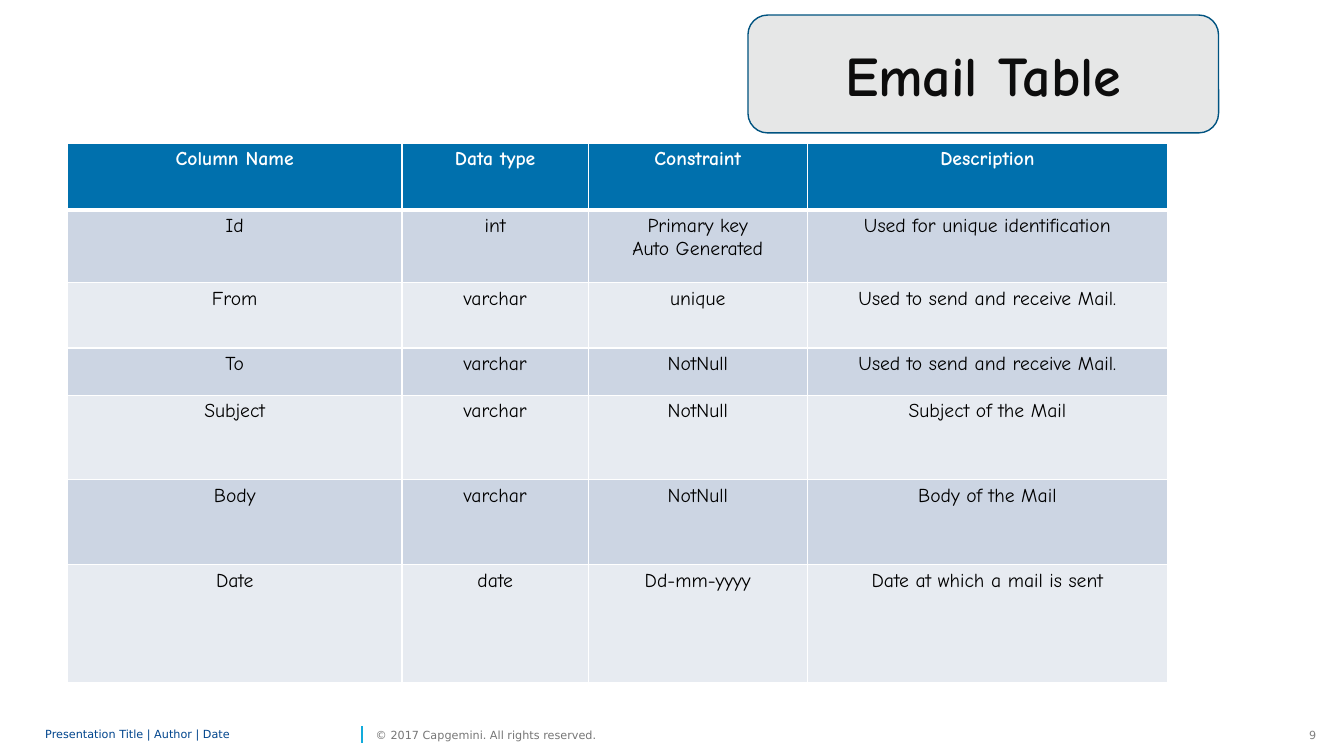
from lxml.etree import SubElement
from pptx import Presentation
from pptx.dml.color import RGBColor
from pptx.enum.shapes import MSO_CONNECTOR, MSO_SHAPE
from pptx.enum.text import MSO_ANCHOR, PP_ALIGN
from pptx.oxml import parse_xml
from pptx.oxml.ns import nsdecls, qn
from pptx.util import Cm, Pt

WHITE = RGBColor(0xFF, 0xFF, 0xFF)
BLACK = RGBColor(0x00, 0x00, 0x00)
HEADER_BLUE = RGBColor(0x00, 0x70, 0xAD)
BAND_DARK = RGBColor(0xCC, 0xD5, 0xE3)
BAND_LIGHT = RGBColor(0xE7, 0xEB, 0xF1)
TITLE_FILL = RGBColor(0xE6, 0xE7, 0xE7)
TITLE_LINE = RGBColor(0x00, 0x53, 0x80)
TITLE_INK = RGBColor(0x0D, 0x0D, 0x0D)
DIVIDER_CYAN = RGBColor(0x12, 0xAB, 0xDB)
FOOTER_BLUE = RGBColor(0x00, 0x45, 0x8D)
COPYRIGHT_GREY = RGBColor(0x76, 0x76, 0x76)
NUMBER_GREY = RGBColor(0x80, 0x80, 0x80)

HEADING = "Email Table"
FIELDS = [
    ("Column Name", "Data type", "Constraint", "Description"),
    ("Id", "int", "Primary key\nAuto Generated", "Used for unique identification"),
    ("From", "varchar", "unique", "Used to send and receive Mail."),
    ("To", "varchar", "NotNull", "Used to send and receive Mail."),
    ("Subject", "varchar", "NotNull", "Subject of the Mail"),
    ("Body", "varchar", "NotNull", "Body of the Mail"),
    ("Date", "date", "Dd-mm-yyyy", "Date at which a mail is sent"),
]
COLUMN_WIDTHS = [8.43, 4.7, 5.51, 9.09]
ROW_HEIGHTS = [1.68, 1.83, 1.65, 1.19, 2.13, 2.13, 2.97]
FOOTER = [
    ("Presentation Title | Author | Date", 1.14, 7.85, FOOTER_BLUE, PP_ALIGN.LEFT, 0.85),
    ("© 2017 Capgemini. All rights reserved.", 9.47, 6.17, COPYRIGHT_GREY, PP_ALIGN.LEFT, 1.0),
    ("9", 32.17, 1.0, NUMBER_GREY, PP_ALIGN.RIGHT, 1.0),
]
TITLE_BOX = [Cm(length) for length in (18.85, 0.38, 11.86, 2.97)]
FOOTER_TOP, FOOTER_HEIGHT = 18.21, 0.61


def write(frame, text, *, size, color, font="Comic Neue", bold=False,
          align=PP_ALIGN.CENTER, spacing=1.0):
    """Fill a text frame with formatted paragraphs, one per line of text."""
    frame.text = text
    for paragraph in frame.paragraphs:
        paragraph.alignment = align
        paragraph.line_spacing = spacing
        for run in paragraph.runs:
            run.font.name = font
            run.font.size = Pt(size)
            run.font.bold = bold
            run.font.color.rgb = color


def add_borders(cell, widths):
    """Draw white cell borders with the given widths per side in points."""
    properties = cell._tc.get_or_add_tcPr()
    for position, (side, width) in enumerate(widths.items()):
        properties.insert(position, parse_xml(
            f'<a:ln{side} {nsdecls("a")} w="{Pt(width)}"><a:solidFill>'
            f'<a:srgbClr val="{WHITE}"/></a:solidFill></a:ln{side}>'))


def add_title(slide):
    """Place the title over its rounded panel."""
    panel = slide.shapes.add_shape(MSO_SHAPE.ROUNDED_RECTANGLE, *TITLE_BOX)
    panel.shadow.inherit = False
    panel.fill.solid()
    panel.fill.fore_color.rgb = TITLE_FILL
    panel.line.color.rgb = TITLE_LINE
    panel.line.width = Pt(1)
    title = slide.shapes.title
    title.left, title.top, title.width, title.height = TITLE_BOX
    title.text_frame.vertical_anchor = MSO_ANCHOR.MIDDLE
    write(title.text_frame, HEADING, size=40, color=TITLE_INK, bold=True)
    panel._element.addnext(title._element)


def add_field_table(slide):
    """Build the banded table of email fields."""
    table = slide.shapes.add_table(
        len(FIELDS), len(COLUMN_WIDTHS), Cm(1.7), Cm(3.61),
        Cm(sum(COLUMN_WIDTHS)), Cm(sum(ROW_HEIGHTS))).table
    for column, width in zip(table.columns, COLUMN_WIDTHS):
        column.width = Cm(width)
    for row_index, (row, height, values) in enumerate(zip(table.rows, ROW_HEIGHTS, FIELDS)):
        row.height = Cm(height)
        is_header = row_index == 0
        band = HEADER_BLUE if is_header else BAND_DARK if row_index % 2 else BAND_LIGHT
        borders = {"L": 1, "R": 1, "T": 3 if row_index == 1 else 1, "B": 3 if is_header else 1}
        for cell, value in zip(row.cells, values):
            cell.fill.solid()
            cell.fill.fore_color.rgb = band
            add_borders(cell, borders)
            write(cell.text_frame, value, size=14, bold=is_header,
                  color=WHITE if is_header else BLACK)


def add_footer(slide):
    """Place the footer texts and their divider."""
    divider = slide.shapes.add_connector(
        MSO_CONNECTOR.STRAIGHT, Cm(9.12), Cm(18.72), Cm(9.12), Cm(18.29))
    divider.line.color.rgb = DIVIDER_CYAN
    divider.line.width = Pt(1)
    SubElement(divider._element.spPr, qn("a:effectLst"))
    for text, left, width, color, align, spacing in FOOTER:
        frame = slide.shapes.add_textbox(
            Cm(left), Cm(FOOTER_TOP), Cm(width), Cm(FOOTER_HEIGHT)).text_frame
        frame.margin_left = frame.margin_right = frame.margin_top = frame.margin_bottom = 0
        frame.vertical_anchor = MSO_ANCHOR.MIDDLE
        frame.word_wrap = True
        write(frame, text, size=8, color=color, font="DejaVu Sans",
              align=align, spacing=spacing)


def main():
    """Build the slide and save it."""
    deck = Presentation()
    deck.slide_width, deck.slide_height = Cm(33.87), Cm(19.05)
    slide = deck.slides.add_slide(deck.slide_layouts[5])
    add_footer(slide)
    add_title(slide)
    add_field_table(slide)
    deck.save("out.pptx")


if __name__ == "__main__":
    main()
